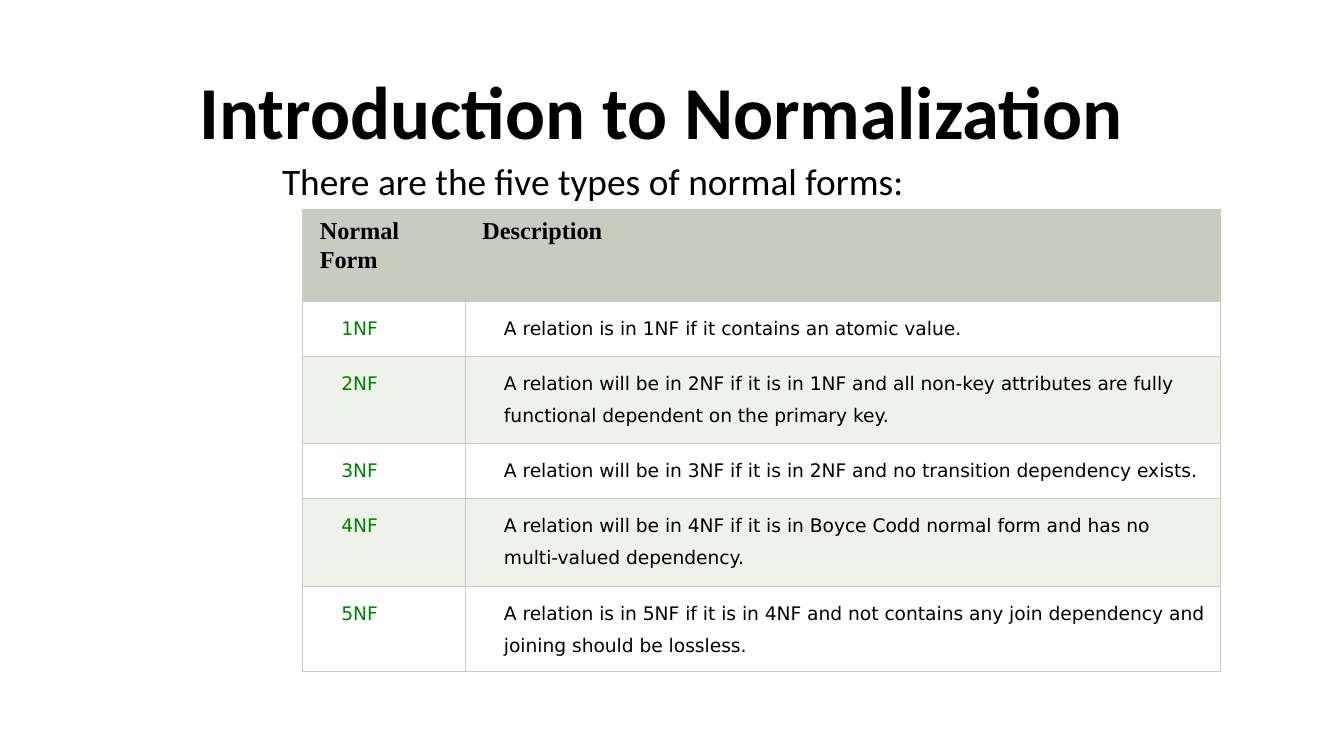
from lxml import etree
from pptx import Presentation
from pptx.dml.color import RGBColor
from pptx.enum import text
from pptx.oxml.ns import qn
from pptx.util import Inches, Pt

TITLE = "Introduction to Normalization"
INTRO = "There are the five types of normal forms:"
HEADINGS = ("Normal Form", "Description")
FORMS = [
    ("1NF", "A relation is in 1NF if it contains an atomic value."),
    ("2NF", "A relation will be in 2NF if it is in 1NF and all non-key attributes "
            "are fully functional dependent on the primary key."),
    ("3NF", "A relation will be in 3NF if it is in 2NF and no transition dependency exists."),
    ("4NF", "A relation will be in 4NF if it is in Boyce Codd normal form and has no "
            "multi-valued dependency."),
    ("5NF", "A relation is in 5NF if it is in 4NF and not contains any join dependency "
            "and joining should be lossless."),
]
COLUMN_WIDTHS = (1.21, 5.62)
ROW_HEIGHTS = (0.68, 0.41, 0.65, 0.41, 0.65, 0.64)
BLACK, GREEN, SAGE, PALE, WHITE = "000000", "008000", "C7CCBE", "EFF1EB", "FFFFFF"


def color(code):
    return RGBColor.from_string(code)


def write(paragraph, words, font, size, ink=BLACK, bold=False):
    run = paragraph.add_run()
    run.text = words
    run.font.name = font
    run.font.size = Pt(size)
    run.font.bold = bold
    run.font.color.rgb = color(ink)


def add_box(slide, left, top, width, height):
    box = slide.shapes.add_textbox(*map(Inches, (left, top, width, height)))
    box.text_frame.word_wrap = True
    return box.text_frame


def style_cell(cell, fill, left_margin, right_margin):
    cell.margin_left, cell.margin_right = Inches(left_margin), Inches(right_margin)
    cell.margin_top = cell.margin_bottom = Inches(0.05)
    properties = cell._tc.get_or_add_tcPr()
    for side in ("a:lnL", "a:lnR", "a:lnT", "a:lnB"):
        line = etree.SubElement(properties, qn(side), w=str(Pt(0.45)))
        solid = etree.SubElement(line, qn("a:solidFill"))
        etree.SubElement(solid, qn("a:srgbClr"), val=SAGE)
    cell.fill.solid()
    cell.fill.fore_color.rgb = color(fill)


def add_forms_table(slide):
    grid = slide.shapes.add_table(
        len(FORMS) + 1, len(HEADINGS), Inches(2.25), Inches(1.56),
        Inches(sum(COLUMN_WIDTHS)), Inches(sum(ROW_HEIGHTS))).table
    for column, width in zip(grid.columns, COLUMN_WIDTHS):
        column.width = Inches(width)
    for row, height in zip(grid.rows, ROW_HEIGHTS):
        row.height = Inches(height)

    for c, heading in enumerate(HEADINGS):
        cell = grid.cell(0, c)
        style_cell(cell, SAGE, 0.13, 0.13)
        paragraph = cell.text_frame.paragraphs[0]
        paragraph.line_spacing = 1.07
        write(paragraph, heading, "Times New Roman", 13, bold=True)

    for r, form in enumerate(FORMS, start=1):
        for c, (words, ink) in enumerate(zip(form, (GREEN, BLACK))):
            cell = grid.cell(r, c)
            style_cell(cell, WHITE if r % 2 else PALE, 0.08, 0.09)
            paragraph = cell.text_frame.paragraphs[0]
            paragraph.line_spacing = Pt(17.2)
            paragraph._p.get_or_add_pPr().set("marL", str(Inches(0.21)))
            write(paragraph, words, "DejaVu Sans", 10, ink)


def main():
    deck = Presentation()
    deck.slide_width, deck.slide_height = Inches(10), Inches(10 * 9 / 16)
    slide = deck.slides.add_slide(deck.slide_layouts[6])

    title = add_box(slide, 0.67, 0.31, 8.5, 0.89)
    title.margin_top, title.margin_bottom = 0, Inches(0.05)
    title.vertical_anchor = text.MSO_ANCHOR.BOTTOM
    heading = title.paragraphs[0]
    heading.alignment = text.PP_ALIGN.CENTER
    heading.line_spacing = 1.5
    write(heading, TITLE, "Calibri", 40, bold=True)

    intro = add_box(slide, 2, 1.13, 7.08, 3.35)
    write(intro.paragraphs[0], INTRO, "Calibri", 20)

    add_forms_table(slide)
    deck.save("out.pptx")


if __name__ == "__main__":
    main()
